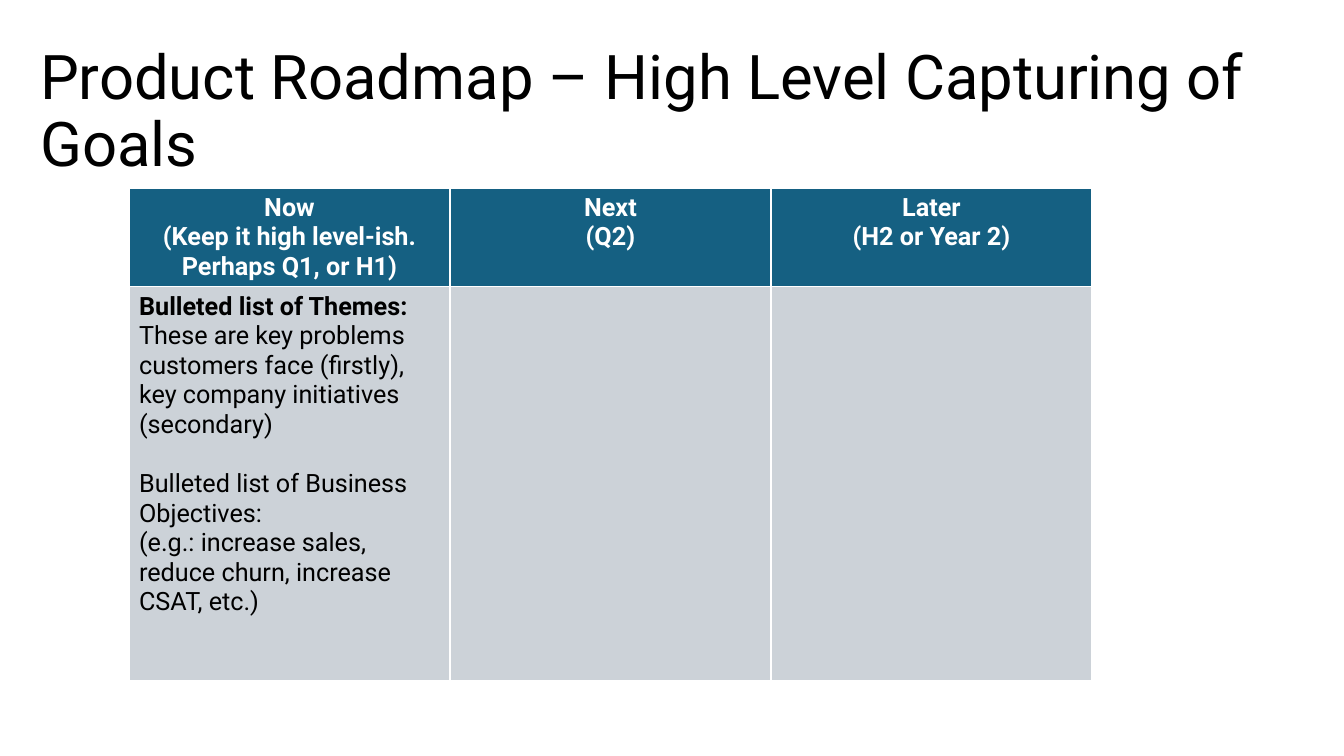
from dataclasses import dataclass

import pptx
import pptx.dml.color
import pptx.enum.text
import pptx.text.text
import pptx.util

EMU_PER_PX = 914400 / 100.8
FONT = "Roboto"
BLACK, WHITE, TEAL, GREY = "000000", "FFFFFF", "156082", "CCD2D8"
LEFT, CENTER = pptx.enum.text.PP_ALIGN.LEFT, pptx.enum.text.PP_ALIGN.CENTER
COLUMN_WIDTH = 321
HEADER_HEIGHT, BODY_HEIGHT = 98, 394


@dataclass
class Line:
    text: str
    lead: str = ""
    space_before: float = 0


@dataclass
class Horizon:
    heading: list[Line]
    goals: list[Line]


HORIZONS = [
    Horizon(
        [Line("Now\v(Keep it high level-ish. Perhaps Q1, or H1)")],
        [
            Line(
                "These are key problems customers face (firstly), key company initiatives (secondary)",
                lead="Bulleted list of Themes: ",
            ),
            Line("Bulleted list of Business Objectives:", space_before=21.1),
            Line("(e.g.: increase sales, reduce churn, increase CSAT, etc.)"),
        ],
    ),
    Horizon([Line("Next"), Line("(Q2)")], []),
    Horizon([Line("Later"), Line("(H2 or Year 2)")], []),
]


def px(length: int) -> pptx.util.Emu:
    return pptx.util.Emu(round(length * EMU_PER_PX))


def color(value: str) -> pptx.dml.color.RGBColor:
    return pptx.dml.color.RGBColor.from_string(value)


def style(para, size: int, ink: str, align, bold: bool = False) -> None:
    para.alignment = align
    para.font.name = FONT
    para.font.size = pptx.util.Pt(size)
    para.font.bold = bold
    para.font.color.rgb = color(ink)


def fill_cell(cell, lines: list[Line], fill: str, ink: str, align, bold: bool) -> None:
    cell.fill.solid()
    cell.fill.fore_color.rgb = color(fill)
    frame = cell.text_frame
    for index, line in enumerate(lines):
        para = frame.add_paragraph() if index else frame.paragraphs[0]
        if line.lead:
            span = para.add_run()
            span.text = line.lead
            span.font.bold = True
            para.add_run().text = line.text
        else:
            para.text = line.text
        para.space_before = pptx.util.Pt(line.space_before)
        style(para, 18, ink, align, bold)


def add_title(page) -> None:
    title = page.shapes.title
    title.left, title.top, title.width, title.height = px(30), px(40), px(1289), px(146)
    frame = title.text_frame
    frame.text = "Product Roadmap – High Level Capturing of Goals"
    frame.word_wrap = True
    frame.auto_size = pptx.enum.text.MSO_AUTO_SIZE.NONE
    frame.vertical_anchor = pptx.enum.text.MSO_ANCHOR.MIDDLE
    para = frame.paragraphs[0]
    para.line_spacing = 0.9
    style(para, 44, BLACK, LEFT)


def add_roadmap(page) -> None:
    table = page.shapes.add_table(
        2, len(HORIZONS), px(129), px(188),
        px(COLUMN_WIDTH * len(HORIZONS)), px(HEADER_HEIGHT + BODY_HEIGHT),
    ).table
    table.horz_banding = False
    table.rows[0].height = px(HEADER_HEIGHT)
    table.rows[1].height = px(BODY_HEIGHT)
    for index, horizon in enumerate(HORIZONS):
        table.columns[index].width = px(COLUMN_WIDTH)
        fill_cell(table.cell(0, index), horizon.heading, TEAL, WHITE, CENTER, True)
        fill_cell(table.cell(1, index), horizon.goals, GREY, BLACK, LEFT, False)


def main() -> None:
    deck = pptx.Presentation()
    deck.slide_width, deck.slide_height = px(1344), px(756)
    page = deck.slides.add_slide(deck.slide_layouts.get_by_name("Title Only"))
    add_title(page)
    add_roadmap(page)
    deck.save("out.pptx")


if __name__ == "__main__":
    main()
